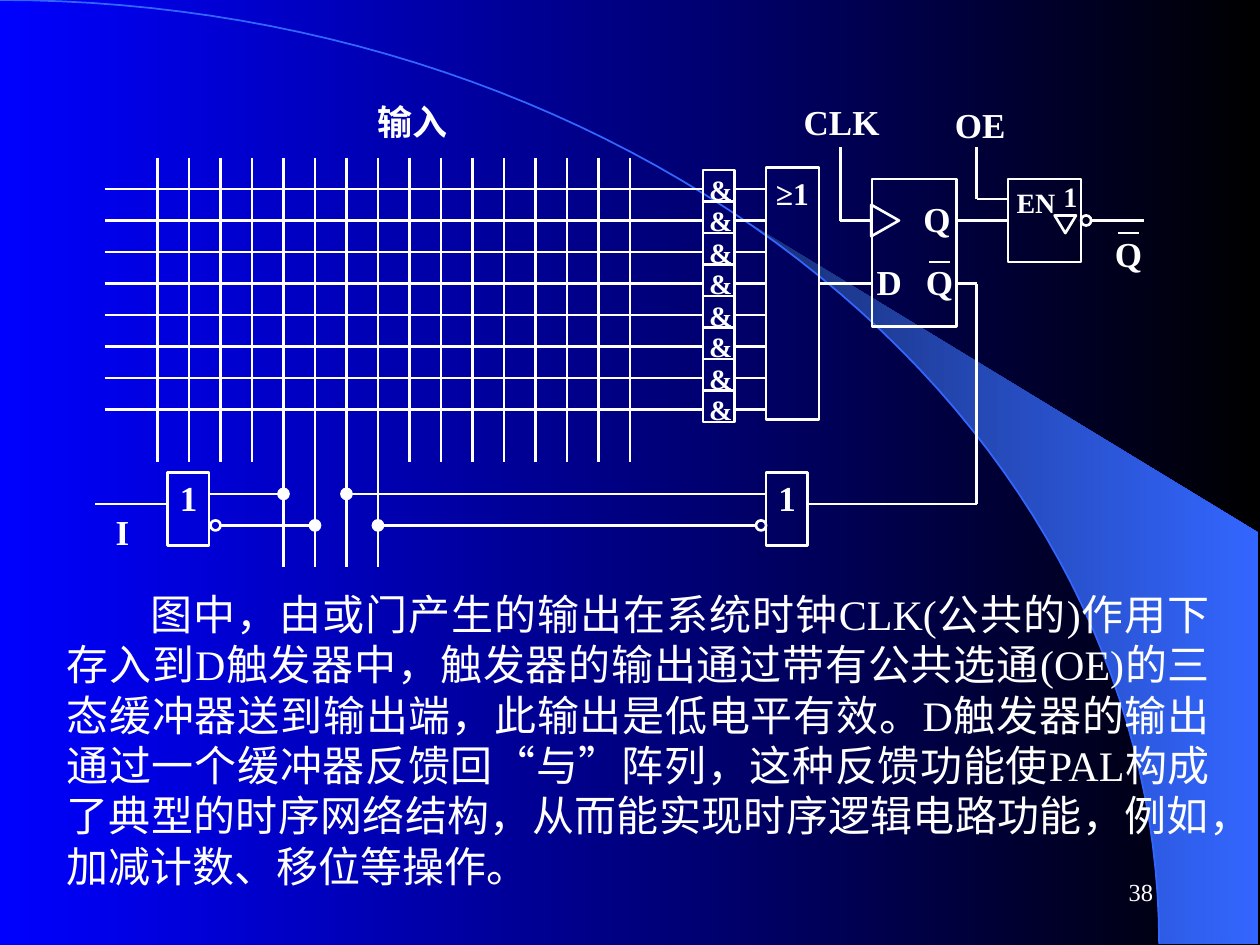
import math
from dataclasses import dataclass
from typing import Any, Optional

import pptx
import pptx.dml.color
import pptx.enum.shapes
import pptx.enum.text
import pptx.oxml
import pptx.oxml.ns
import pptx.util

Inches = pptx.util.Inches
Pt = pptx.util.Pt
MSO = pptx.enum.shapes.MSO_SHAPE
ALIGN = pptx.enum.text.PP_ALIGN
ANCHOR = pptx.enum.text.MSO_ANCHOR

COLORS = {
    "ink": "FFFFFF",
    "sky": "0000FF",
    "night": "000000",
    "wedge_dark": "182F76",
    "arc": "3366FF",
}
FONT = "Times New Roman"
ARC_W, ARC_H, EDGE = 9.2, 7.49, 9.99
PITCH, ROW_TOP, COL_LEFT = 0.25, 1.5, 1.25
ROWS, COLS = 8, 16
FEEDBACK_COLS = range(4, 8)
BODY = (
    "图中，由或门产生的输出在系统时钟CLK(公共的)作用下存入到D触发器中，"
    "触发器的输出通过带有公共选通(OE)的三态缓冲器送到输出端，此输出是低电平有效。"
    "D触发器的输出通过一个缓冲器反馈回“与”阵列，这种反馈功能使PAL构成了典型的时序网络结构，"
    "从而能实现时序逻辑电路功能，例如，加减计数、移位等操作。"
)


@dataclass
class Wire:
    x1: float
    y1: float
    x2: float
    y2: float


@dataclass
class Outline:
    x: float
    y: float
    w: float
    h: float
    kind: Any = MSO.RECTANGLE
    rotation: int = 0
    fill: Optional[str] = None


@dataclass
class Label:
    text: str
    x: float
    y: float
    w: float
    h: float = 0.44
    size: int = 20
    bold: bool = True
    align: Any = ALIGN.JUSTIFY
    wrap: bool = False
    indent: float = 0
    anchor: Any = ANCHOR.TOP


def rgb(name: str) -> pptx.dml.color.RGBColor:
    return pptx.dml.color.RGBColor.from_string(COLORS[name])


def set_gradient(fill: Any, first: str, last: str) -> None:
    fill.gradient()
    fill.gradient_angle = 0
    for stop, name in zip(fill.gradient_stops, (first, last)):
        stop.color.rgb = rgb(name)


def set_line(line: Any, color: str, width: float) -> None:
    line.color.rgb = rgb(color)
    line.width = Pt(width)


def draw_wire(s: Any, wire: Wire) -> Any:
    c = s.shapes.add_connector(
        pptx.enum.shapes.MSO_CONNECTOR.STRAIGHT,
        Inches(wire.x1), Inches(wire.y1), Inches(wire.x2), Inches(wire.y2),
    )
    set_line(c.line, "ink", 1.5)
    c._element.spPr.append(pptx.oxml.parse_xml(f"<a:effectLst {pptx.oxml.ns.nsdecls('a')}/>"))
    return c


def draw_outline(s: Any, o: Outline) -> Any:
    sp = s.shapes.add_shape(o.kind, Inches(o.x), Inches(o.y), Inches(o.w), Inches(o.h))
    sp.shadow.inherit = False
    sp.rotation = o.rotation
    if o.fill:
        sp.fill.solid()
        sp.fill.fore_color.rgb = rgb(o.fill)
    else:
        sp.fill.background()
    set_line(sp.line, "ink", 1.5)
    return sp


def draw_label(s: Any, label: Label) -> None:
    sp = s.shapes.add_textbox(Inches(label.x), Inches(label.y), Inches(label.w), Inches(label.h))
    tf = sp.text_frame
    tf.word_wrap = label.wrap
    if not label.wrap:
        tf.auto_size = pptx.enum.text.MSO_AUTO_SIZE.SHAPE_TO_FIT_TEXT
    tf.vertical_anchor = label.anchor
    p = tf.paragraphs[0]
    p.alignment = label.align
    if label.indent:
        p._p.get_or_add_pPr().set("indent", str(Inches(label.indent)))
    r = p.add_run()
    r.text = label.text
    r.font.name = FONT
    r.font.size = Pt(label.size)
    r.font.bold = label.bold
    r.font.color.rgb = rgb("ink")


def arc_points(start: float, steps: int = 60) -> list[tuple[int, int]]:
    angles = (start + (math.pi / 2 - start) * i / steps for i in range(steps + 1))
    return [(Inches(ARC_W * math.sin(a)), Inches(ARC_H * (1 - math.cos(a)))) for a in angles]


def draw_freeform(s: Any, points: list[tuple[int, int]], close: bool) -> Any:
    builder = s.shapes.build_freeform(*points[0], scale=1.0)
    builder.add_line_segments(points[1:], close=close)
    sp = builder.convert_to_shape()
    sp.shadow.inherit = False
    return sp


def draw_backdrop(s: Any) -> None:
    set_gradient(s.background.fill, "sky", "night")
    corner = [(Inches(EDGE), Inches(ARC_H)), (Inches(EDGE), Inches(4.23))]
    wedge = draw_freeform(s, arc_points(math.asin(5.89 / ARC_W)) + corner, True)
    set_gradient(wedge.fill, "wedge_dark", "arc")
    wedge.line.fill.background()
    arc = draw_freeform(s, arc_points(0), False)
    arc.fill.background()
    set_line(arc.line, "arc", 1)


def draw_and_array(s: Any) -> None:
    for col in range(COLS):
        x = COL_LEFT + col * PITCH
        draw_wire(s, Wire(x, 1.25, x, 4.5 if col in FEEDBACK_COLS else 3.67))
    for row in range(ROWS):
        y = ROW_TOP + row * PITCH
        draw_wire(s, Wire(0.83, y, 5.58, y))
        draw_outline(s, Outline(5.58, y - 0.15, PITCH, PITCH))
        draw_label(s, Label("&", 5.53, y - 0.18, 0.38, 0.37, 16))
        draw_wire(s, Wire(5.83, y, 6.08, y))
    for i, col in enumerate(FEEDBACK_COLS):
        x, y = COL_LEFT + col * PITCH, 3.92 + i % 2 * PITCH
        draw_outline(s, Outline(x - 0.04, y - 0.04, 0.08, 0.08, MSO.OVAL, fill="ink"))


OUTLINES = [
    Outline(6.08, 1.33, 0.42, 2),
    Outline(6.92, 1.42, 0.67, 1.17),
    Outline(1.33, 3.75, 0.33, 0.58),
    Outline(6.08, 3.75, 0.33, 0.58),
    Outline(6.9, 1.64, 0.25, 0.22, MSO.ISOSCELES_TRIANGLE, 90),
    Outline(8.37, 1.71, 0.17, 0.14, MSO.ISOSCELES_TRIANGLE, 180),
    Outline(8.58, 1.71, 0.08, 0.08, MSO.OVAL),
    Outline(1.67, 4.13, 0.08, 0.08, MSO.OVAL),
    Outline(6, 4.13, 0.08, 0.08, MSO.OVAL),
]
WIRES = [
    Wire(6.5, 2.25, 6.92, 2.25),
    Wire(6.67, 1.17, 6.67, 1.75),
    Wire(6.67, 1.75, 6.92, 1.75),
    Wire(7.75, 1.58, 8, 1.58),
    Wire(7.75, 1.58, 7.75, 1.17),
    Wire(7.37, 2.08, 7.54, 2.08),
    Wire(8.67, 1.75, 9.08, 1.75),
    Wire(8.87, 1.85, 9.04, 1.85),
    Wire(1.67, 3.92, 2.25, 3.92),
    Wire(1.75, 4.17, 2.5, 4.17),
    Wire(2.75, 3.92, 6.08, 3.92),
    Wire(3, 4.17, 6, 4.17),
    Wire(6.42, 4, 7.75, 4),
    Wire(7.75, 4, 7.75, 2.25),
    Wire(7.58, 2.25, 7.75, 2.25),
    Wire(1.33, 4, 0.75, 4),
]
LABELS = [
    Label("38", 7.17, 6.83, 2.08, 0.5, 14, False, ALIGN.RIGHT, True, anchor=ANCHOR.MIDDLE),
    Label(BODY, 0.43, 4.62, 9.27, 2.5, 24, False, wrap=True, indent=0.67),
    Label("≥1", 6.06, 1.33, 0.46, 0.4, 18),
    Label("Q", 7.23, 1.52, 0.41),
    Label("D", 6.86, 2.02, 0.4),
    Label("Q", 7.25, 2.02, 0.41),
    Label("EN", 7.97, 1.42, 0.51, 0.37, 16),
    Label("1", 8.34, 1.38, 0.31, 0.37, 16),
    Label("Q", 8.75, 1.8, 0.41),
    Label("1", 1.33, 3.73, 0.34),
    Label("1", 6.08, 3.73, 0.34),
    Label("I", 0.82, 4, 0.31),
    Label("输入", 2.9, 0.75, 0.9, align=ALIGN.LEFT, wrap=True),
    Label("CLK", 6.28, 0.75, 0.8),
    Label("OE", 7.48, 0.77, 0.6),
]


def main() -> None:
    prs = pptx.Presentation()
    prs.slide_width, prs.slide_height = Inches(10), Inches(7.5)
    s = prs.slides.add_slide(prs.slide_layouts[6])
    draw_backdrop(s)
    draw_and_array(s)
    for outline in OUTLINES:
        draw_outline(s, outline)
    for wire in WIRES:
        draw_wire(s, wire)
    enable = draw_outline(s, Outline(8, 1.42, 0.58, 0.66))
    draw_wire(s, Wire(7.58, 1.75, 8, 1.75)).end_connect(enable, 1)
    for label in LABELS:
        draw_label(s, label)
    prs.save("out.pptx")


if __name__ == "__main__":
    main()
